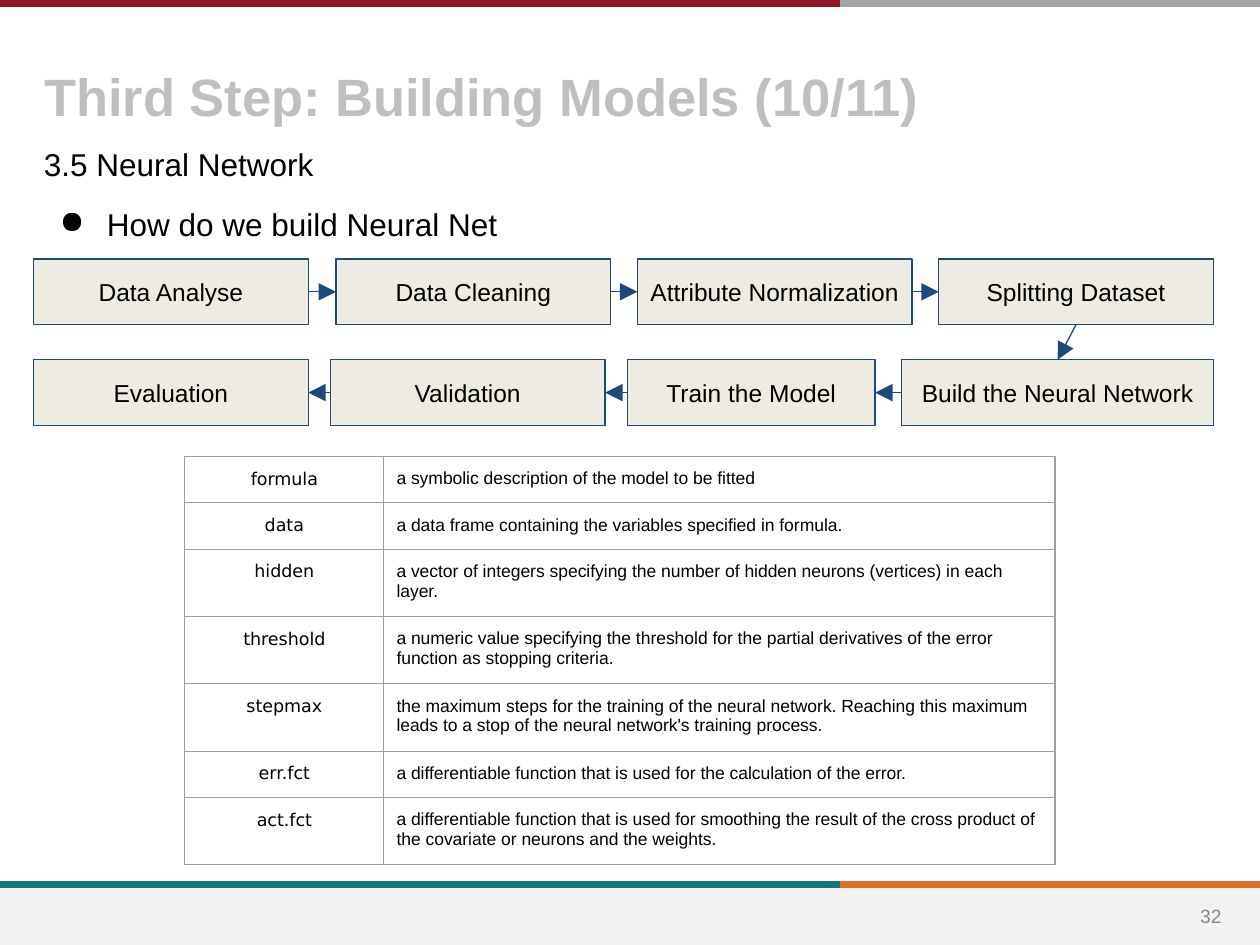
from lxml import etree
from pptx import Presentation
from pptx.dml.color import RGBColor
from pptx.enum.shapes import MSO_CONNECTOR, MSO_SHAPE
from pptx.enum.text import MSO_ANCHOR, MSO_AUTO_SIZE, PP_ALIGN
from pptx.oxml.ns import qn
from pptx.util import Pt

STRAIGHT = MSO_CONNECTOR.STRAIGHT
RECTANGLE = MSO_SHAPE.RECTANGLE
TOP, MIDDLE = MSO_ANCHOR.TOP, MSO_ANCHOR.MIDDLE
LEFT, CENTER = PP_ALIGN.LEFT, PP_ALIGN.CENTER
NO_AUTOFIT = MSO_AUTO_SIZE.NONE
SIDE_TOP, SIDE_LEFT, SIDE_BOTTOM, SIDE_RIGHT = range(4)

BLACK = RGBColor(0x00, 0x00, 0x00)
TITLE_GRAY = RGBColor(0xBF, 0xBF, 0xBF)
NUMBER_GRAY = RGBColor(0x88, 0x88, 0x88)
FOOTER_GRAY = RGBColor(0xF2, 0xF2, 0xF2)
BORDER_GRAY = RGBColor(0x9E, 0x9E, 0x9E)
BAR_GRAY = RGBColor(0xA5, 0xA5, 0xA5)
CRIMSON = RGBColor(0x90, 0x15, 0x2A)
TEAL = RGBColor(0x0F, 0x78, 0x7D)
ORANGE = RGBColor(0xDF, 0x70, 0x23)
NAVY = RGBColor(0x1F, 0x49, 0x7D)
CREAM = RGBColor(0xEE, 0xEC, 0xE1)

SLIDE_WIDTH, SLIDE_HEIGHT = 720, 540
BAR_SPLIT = 480
STEP_HEIGHT = 37.5
INSET = 7.2
ONE_LINE, TWO_LINES = 25.8, 36.7

FIRST_ROW_STEPS = [
    ("Data Analyse", 19.2, 157),
    ("Data Cleaning", 192, 157),
    ("Attribute Normalization", 364.2, 157),
    ("Splitting Dataset", 536.4, 157),
]
SECOND_ROW_STEPS = [
    ("Build the Neural Network", 515.3, 178.1),
    ("Train the Model", 358.5, 141.6),
    ("Validation", 188.8, 157),
    ("Evaluation", 19.2, 157),
]
ARGUMENTS = [
    ("formula", "a symbolic description of the model to be fitted", ONE_LINE),
    ("data", "a data frame containing the variables specified in formula.", ONE_LINE),
    ("hidden", "a vector of integers specifying the number of hidden neurons "
     "(vertices) in each layer.", TWO_LINES),
    ("threshold", "a numeric value specifying the threshold for the partial "
     "derivatives of the error function as stopping criteria.", TWO_LINES),
    ("stepmax", "the maximum steps for the training of the neural network. "
     "Reaching this maximum leads to a stop of the neural network's training "
     "process.", TWO_LINES),
    ("err.fct", "a differentiable function that is used for the calculation of "
     "the error.", ONE_LINE),
    ("act.fct", "a differentiable function that is used for smoothing the result "
     "of the cross product of the covariate or neurons and the weights.", TWO_LINES),
]


def write_text(frame, text, size, color=BLACK, alignment=LEFT, font="Arial", bold=False):
    paragraph = frame.paragraphs[0]
    paragraph.alignment = alignment
    run = paragraph.add_run()
    run.text = text
    run.font.name = font
    run.font.size = Pt(size)
    run.font.bold = bold
    run.font.color.rgb = color
    return paragraph


def add_line(slide, start, end, color, width):
    line = slide.shapes.add_connector(STRAIGHT, *(Pt(value) for value in (*start, *end)))
    line.line.color.rgb = color
    line.line.width = Pt(width)
    etree.SubElement(line._element.spPr, qn("a:effectLst"))
    return line


def add_split_bar(slide, y, left_color, right_color):
    add_line(slide, (BAR_SPLIT, y), (SLIDE_WIDTH, y), right_color, 4)
    add_line(slide, (0, y), (BAR_SPLIT, y), left_color, 4)


def add_rectangle(slide, left, top, width, height, fill):
    shape = slide.shapes.add_shape(RECTANGLE, Pt(left), Pt(top), Pt(width), Pt(height))
    shape.shadow.inherit = False
    shape.fill.solid()
    shape.fill.fore_color.rgb = fill
    shape.line.fill.background()
    return shape


def add_text_box(slide, left, top, width, height, text, size, **style):
    box = slide.shapes.add_textbox(Pt(left), Pt(top), Pt(width), Pt(height))
    box.text_frame.word_wrap = True
    return box, write_text(box.text_frame, text, size, **style)


def set_title(slide, text):
    title = slide.shapes.title
    title.left, title.top, title.width, title.height = Pt(18), Pt(33), Pt(575), Pt(42.5)
    frame = title.text_frame
    frame.word_wrap = True
    frame.auto_size = NO_AUTOFIT
    frame.vertical_anchor = TOP
    write_text(frame, text, 30, color=TITLE_GRAY, bold=True)


def add_bullet(paragraph):
    properties = paragraph._p.get_or_add_pPr()
    properties.set("marL", str(Pt(36)))
    properties.set("indent", str(-Pt(27)))
    etree.SubElement(properties, qn("a:buChar"), char="●")


def add_step(slide, text, left, top, width):
    step = add_rectangle(slide, left, top, width, STEP_HEIGHT, CREAM)
    step.line.color.rgb = NAVY
    step.line.width = Pt(0.75)
    frame = step.text_frame
    frame.word_wrap = True
    frame.vertical_anchor = MIDDLE
    write_text(frame, text, 14, alignment=CENTER)
    return step


def add_step_row(slide, steps, top):
    return [add_step(slide, text, left, top, width) for text, left, width in steps]


def connect(slide, source, source_side, target, target_side):
    arrow = add_line(slide, (0, 0), (0, 0), NAVY, 0.75)
    arrow.begin_connect(source, source_side)
    arrow.end_connect(target, target_side)
    etree.SubElement(arrow.line._get_or_add_ln(), qn("a:tailEnd"),
                     type="triangle", w="lg", len="lg")


def connect_row(slide, steps, source_side, target_side):
    for source, target in zip(steps, steps[1:]):
        connect(slide, source, source_side, target, target_side)


def format_cell(cell, text, **style):
    cell.margin_left = cell.margin_right = Pt(INSET)
    cell.margin_top = cell.margin_bottom = Pt(INSET)
    cell.vertical_anchor = TOP
    write_text(cell.text_frame, text, 10, **style)
    properties = cell._tc.get_or_add_tcPr()
    for side in ("a:lnL", "a:lnR", "a:lnT", "a:lnB"):
        border = etree.SubElement(properties, qn(side), w=str(Pt(0.75)))
        fill = etree.SubElement(border, qn("a:solidFill"))
        etree.SubElement(fill, qn("a:srgbClr"), val=str(BORDER_GRAY))
    cell.fill.background()


def add_argument_table(slide):
    widths = (113.8, 383.5)
    height = sum(row_height for _, _, row_height in ARGUMENTS)
    table = slide.shapes.add_table(len(ARGUMENTS), len(widths), Pt(105.6), Pt(260.9),
                                   Pt(sum(widths)), Pt(height)).table
    table.first_row = False
    table.horz_banding = False
    for column, width in zip(table.columns, widths):
        column.width = Pt(width)
    for index, (name, description, row_height) in enumerate(ARGUMENTS):
        table.rows[index].height = Pt(row_height)
        format_cell(table.cell(index, 0), name, alignment=CENTER, font="DejaVu Sans")
        format_cell(table.cell(index, 1), description)


def main():
    presentation = Presentation()
    presentation.slide_width = Pt(SLIDE_WIDTH)
    presentation.slide_height = Pt(SLIDE_HEIGHT)
    slide = presentation.slides.add_slide(presentation.slide_layouts[5])

    add_split_bar(slide, 505.5, TEAL, ORANGE)
    add_rectangle(slide, 0, 507.6, SLIDE_WIDTH, 32.4, FOOTER_GRAY)
    add_split_bar(slide, 2, CRIMSON, BAR_GRAY)
    number_box, _ = add_text_box(slide, 673.2, 509, 37.4, 28.8, "32", 11,
                                 color=NUMBER_GRAY, alignment=CENTER)
    number_box.text_frame.vertical_anchor = MIDDLE

    set_title(slide, "Third Step: Building Models (10/11)")
    add_text_box(slide, 18, 79.2, 684.7, 32.4, "3.5 Neural Network", 18)
    _, question = add_text_box(slide, 18, 113.8, 684.7, 32.4, "How do we build Neural Net", 18)
    add_bullet(question)

    add_argument_table(slide)

    first_row = add_step_row(slide, FIRST_ROW_STEPS, 148)
    second_row = add_step_row(slide, SECOND_ROW_STEPS, 205.6)
    connect_row(slide, first_row, SIDE_RIGHT, SIDE_LEFT)
    connect(slide, first_row[-1], SIDE_BOTTOM, second_row[0], SIDE_TOP)
    connect_row(slide, second_row, SIDE_LEFT, SIDE_RIGHT)

    presentation.save("out.pptx")


if __name__ == "__main__":
    main()
